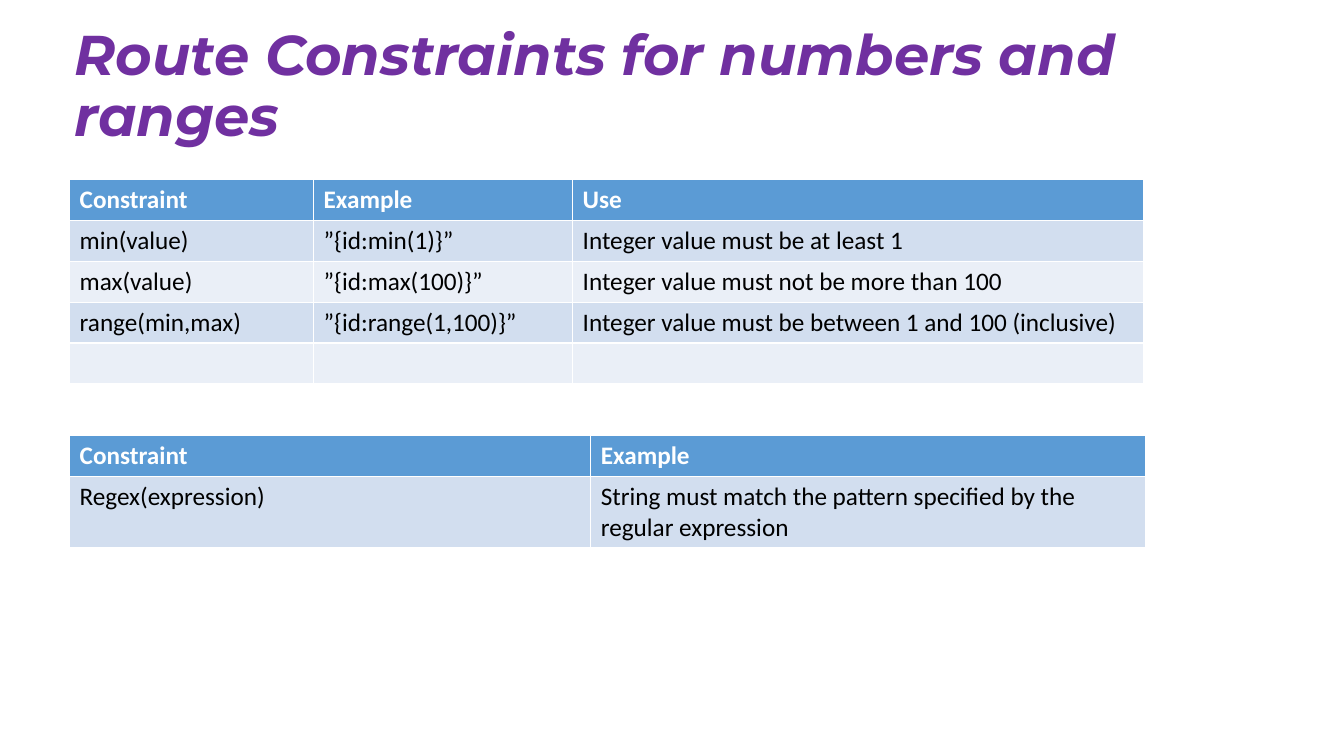
import pptx
import pptx.dml.color
import pptx.enum.text
import pptx.util

Inches = pptx.util.Inches

COLORS = {
    "title": "7030A0",
    "header": "5B9BD5",
    "odd_row": "D2DEEF",
    "even_row": "EAEFF7",
    "header_text": "FFFFFF",
    "body_text": "000000",
}
TITLE_FONT = {"name": "Montserrat", "size": pptx.util.Pt(40), "bold": True, "italic": True}
HEADER_FONT = {"name": "Calibri", "size": pptx.util.Pt(18), "bold": True}
BODY_FONT = {**HEADER_FONT, "bold": False}

NUMBER_CONSTRAINTS = [
    ["Constraint", "Example", "Use"],
    ["min(value)", "”{id:min(1)}”", "Integer value must be at least 1"],
    ["max(value)", "”{id:max(100)}”", "Integer value must not be more than 100"],
    ["range(min,max)", "”{id:range(1,100)}”",
     "Integer value must be between 1 and 100 (inclusive)"],
    ["", "", ""],
]
PATTERN_CONSTRAINTS = [
    ["Constraint", "Example"],
    ["Regex(expression)",
     "String must match the pattern specified by the regular expression"],
]


def color(name):
    return pptx.dml.color.RGBColor.from_string(COLORS[name])


def format_font(font, values, color_name):
    for name, value in values.items():
        setattr(font, name, value)
    font.color.rgb = color(color_name)


def place_title(page, text, left, top, width, height):
    title = page.shapes.title
    title.left, title.top = Inches(left), Inches(top)
    title.width, title.height = Inches(width), Inches(height)
    frame = title.text_frame
    frame.text = text
    frame.word_wrap = True
    frame.auto_size = pptx.enum.text.MSO_AUTO_SIZE.NONE
    frame.vertical_anchor = pptx.enum.text.MSO_ANCHOR.MIDDLE
    para = frame.paragraphs[0]
    para.alignment = pptx.enum.text.PP_ALIGN.LEFT
    para.line_spacing = 0.9
    format_font(para.runs[0].font, TITLE_FONT, "title")


def place_table(page, rows, left, top, column_widths, row_heights):
    """Add a banded table; the default table style draws its white borders."""
    table = page.shapes.add_table(
        len(rows), len(column_widths), Inches(left), Inches(top),
        Inches(sum(column_widths)), Inches(sum(row_heights))).table
    for column, width in zip(table.columns, column_widths):
        column.width = Inches(width)
    for index, (row, texts, height) in enumerate(zip(table.rows, rows, row_heights)):
        row.height = Inches(height)
        if index == 0:
            fill, font, text_color = "header", HEADER_FONT, "header_text"
        else:
            fill = "odd_row" if index % 2 else "even_row"
            font, text_color = BODY_FONT, "body_text"
        for cell, text in zip(row.cells, texts):
            cell.fill.solid()
            cell.fill.fore_color.rgb = color(fill)
            if text:
                cell.text = text
                format_font(cell.text_frame.paragraphs[0].runs[0].font, font, text_color)


def main():
    deck = pptx.Presentation()
    deck.slide_width, deck.slide_height = Inches(13.33), Inches(7.5)
    page = deck.slides.add_slide(deck.slide_layouts.get_by_name("Title Only"))
    place_title(page, "Route Constraints for numbers and ranges", 0.64, 0.27, 12.03, 1.2)
    table_left = 0.69
    place_table(page, NUMBER_CONSTRAINTS, table_left, 1.78,
                [2.42, 2.57, 5.66], [2.03 / 5] * 5)
    place_table(page, PATTERN_CONSTRAINTS, table_left, 4.32, [5.17, 5.5], [0.4, 0.7])
    deck.save("out.pptx")


if __name__ == "__main__":
    main()
